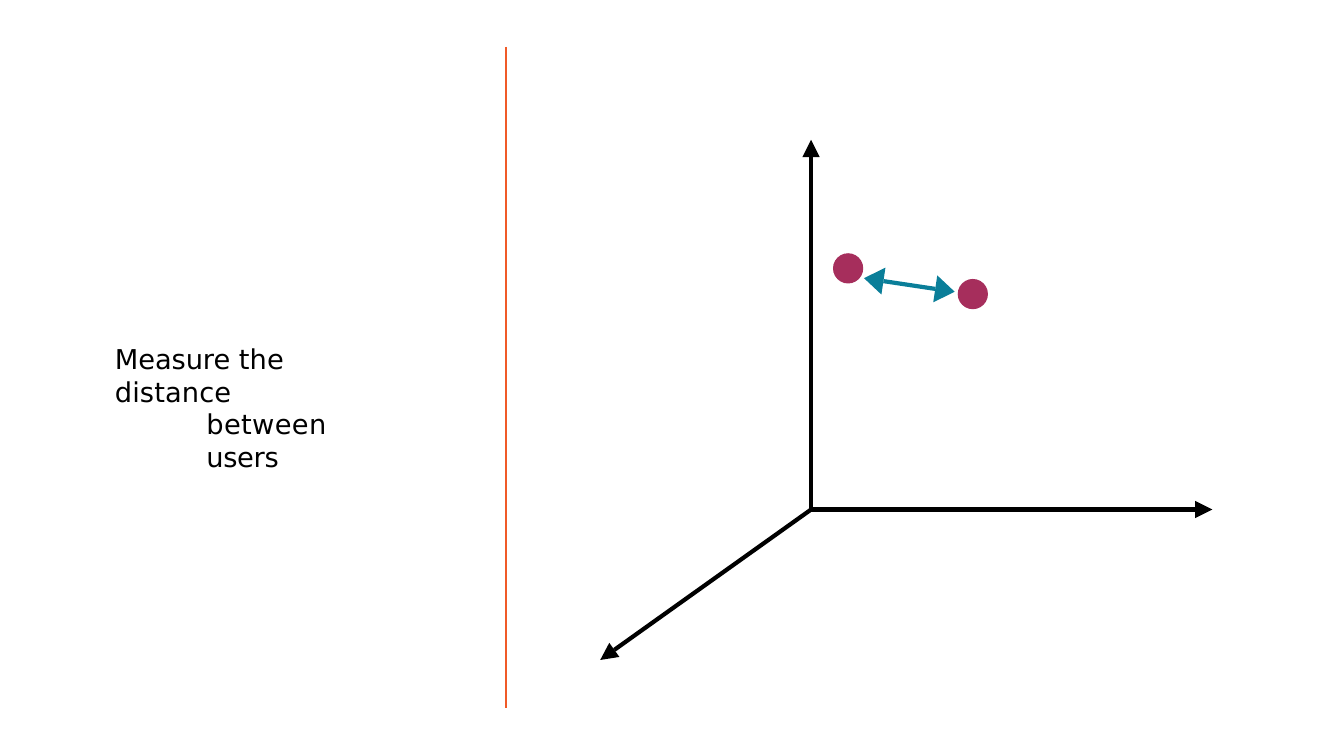
"""Build a slide showing the distance between two users in a 3D space."""
import math

from lxml import etree
from pptx import Presentation
from pptx import util as u
from pptx.dml.color import RGBColor
from pptx.enum import shapes, text
from pptx.oxml.ns import qn

BLACK, ORANGE, PLUM, TEAL = "000000", "F05A28", "A62E5C", "0A7E99"
FONT = "DejaVu Sans"


def paint(fmt, colour):
    """Give a fill one solid colour."""
    fmt.solid()
    fmt.fore_color.rgb = RGBColor.from_string(colour)


def add_line(s, start, end, colour, weight):
    """Draw a straight line without a shadow."""
    points = [u.Inches(v) for v in (*start, *end)]
    sp = s.shapes.add_connector(shapes.MSO_CONNECTOR.STRAIGHT, *points)
    paint(sp.line.fill, colour)
    sp.line.width = u.Pt(weight)
    etree.SubElement(sp._element.spPr, qn("a:effectLst"))


def add_head(s, tip, angle, colour, length, width):
    """Draw a triangular arrowhead with its tip at a point; return its base centre."""
    dx, dy = math.cos(angle), math.sin(angle)
    base = (tip[0] - length * dx, tip[1] - length * dy)
    half = width / 2
    corners = [(base[0] + k * half * dy, base[1] - k * half * dx) for k in (1, -1)]
    fb = s.shapes.build_freeform(u.Inches(tip[0]), u.Inches(tip[1]))
    fb.add_line_segments([(u.Inches(x), u.Inches(y)) for x, y in corners], close=True)
    sp = fb.convert_to_shape()
    sp.shadow.inherit = False
    paint(sp.fill, colour)
    sp.line.fill.background()
    return base


def add_arrow(s, start, end, colour, length, width, double=False):
    """Draw an arrow with a head at its end, or at both ends."""
    angle = math.atan2(end[1] - start[1], end[0] - start[0])
    tail = start
    if double:
        tail = add_head(s, start, angle + math.pi, colour, length, width)
    neck = add_head(s, end, angle, colour, length, width)
    add_line(s, tail, neck, colour, 4)


def add_user(s, x, y, size=0.4):
    """Draw a user as a dot centred on a point."""
    box = [u.Inches(v) for v in (x - size / 2, y - size / 2, size, size)]
    sp = s.shapes.add_shape(shapes.MSO_SHAPE.OVAL, *box)
    sp.shadow.inherit = False
    paint(sp.fill, PLUM)
    sp.line.fill.background()


def add_run(p, words, spacing):
    """Add a run of title text with letter spacing in points."""
    r = p.add_run()
    r.text = words
    r.font.size = u.Pt(26)
    r.font.name = FONT
    r.font.color.rgb = RGBColor.from_string(BLACK)
    r._r.get_or_add_rPr().set("spc", str(round(spacing * 100)))


def fill_title(sp, lines):
    """Place the title and write its indented lines."""
    sp.left, sp.top, sp.width, sp.height = (u.Inches(v) for v in (1.51, 4.52, 3.87, 0.89))
    tf = sp.text_frame
    tf.margin_left = tf.margin_right = tf.margin_bottom = 0
    tf.margin_top = u.Inches(0.01)
    tf.word_wrap = True
    tf.auto_size = text.MSO_AUTO_SIZE.SHAPE_TO_FIT_TEXT
    tf.vertical_anchor = text.MSO_ANCHOR.TOP
    for i, (indent, runs) in enumerate(lines):
        p = tf.add_paragraph() if i else tf.paragraphs[0]
        p.alignment = text.PP_ALIGN.LEFT
        p.line_spacing = u.Pt(31.1)
        p.space_before = u.Pt(0 if i else 1)
        pPr = p._p.get_or_add_pPr()
        pPr.set("marL", str(u.Inches(indent)))
        pPr.set("indent", "0")
        for words, spacing in runs:
            add_run(p, words, spacing)


def main():
    """Create the slide and save it."""
    prs = Presentation()
    prs.slide_width, prs.slide_height = u.Inches(17.78), u.Inches(10)
    s = prs.slides.add_slide(prs.slide_layouts[5])
    paint(s.background.fill, "FFFFFF")
    add_line(s, (6.69, 0.62), (6.69, 9.36), ORANGE, 2)
    origin = (10.73, 6.74)
    for tip in ((16.04, 6.74), (7.94, 8.73), (10.73, 1.85)):
        add_arrow(s, origin, tip, BLACK, 0.23, 0.23)
    for x, y in ((11.22, 3.55), (12.87, 3.89)):
        add_user(s, x, y)
    add_arrow(s, (11.43, 3.68), (12.63, 3.86), TEAL, 0.26, 0.36, double=True)
    fill_title(s.shapes.title, (
        (0.01, (("Measure ", -0.1), ("the distance", 0.1))),
        (1.22, (("between ", 0.3), ("users", -0.3))),
    ))
    prs.save("out.pptx")


if __name__ == "__main__":
    main()
